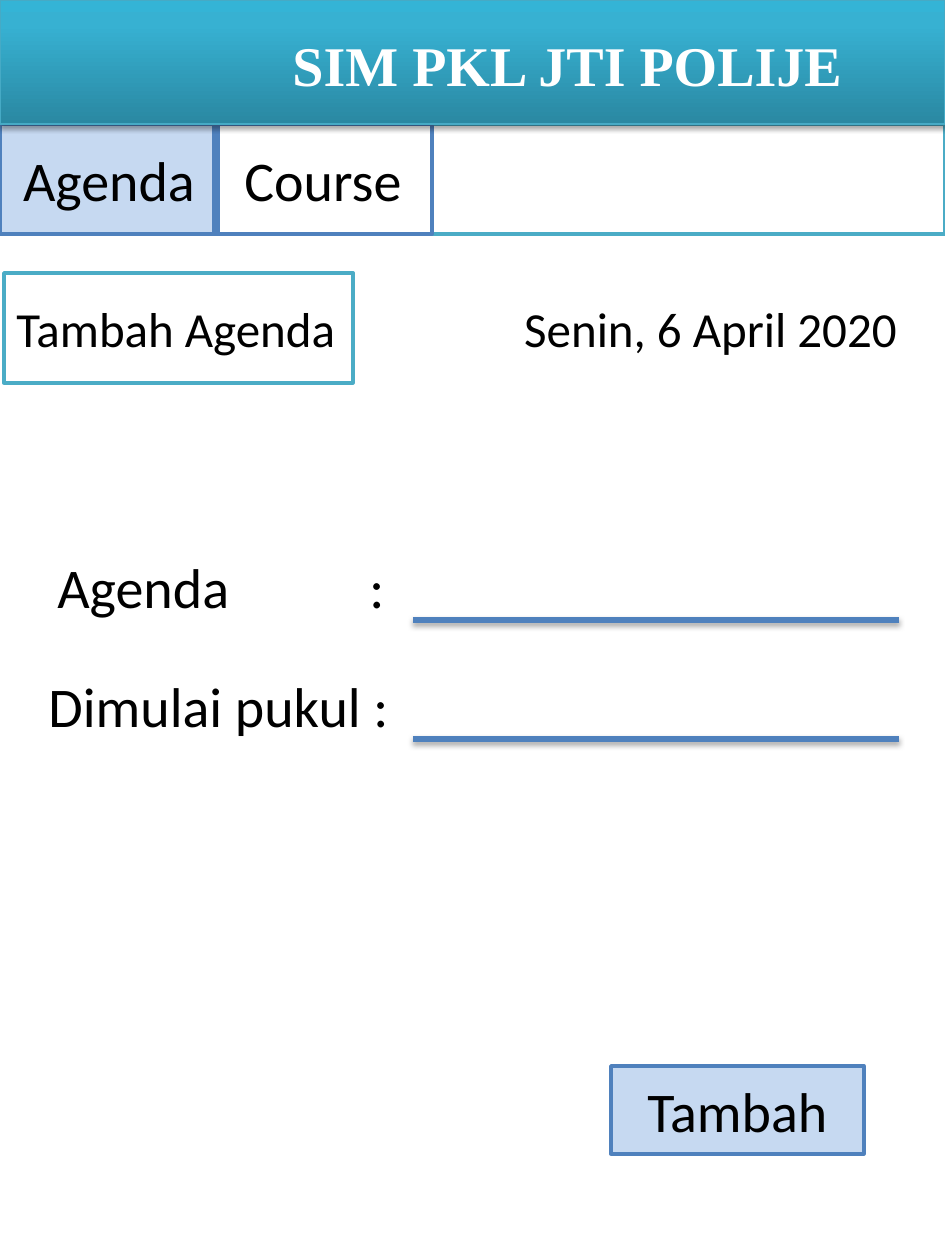
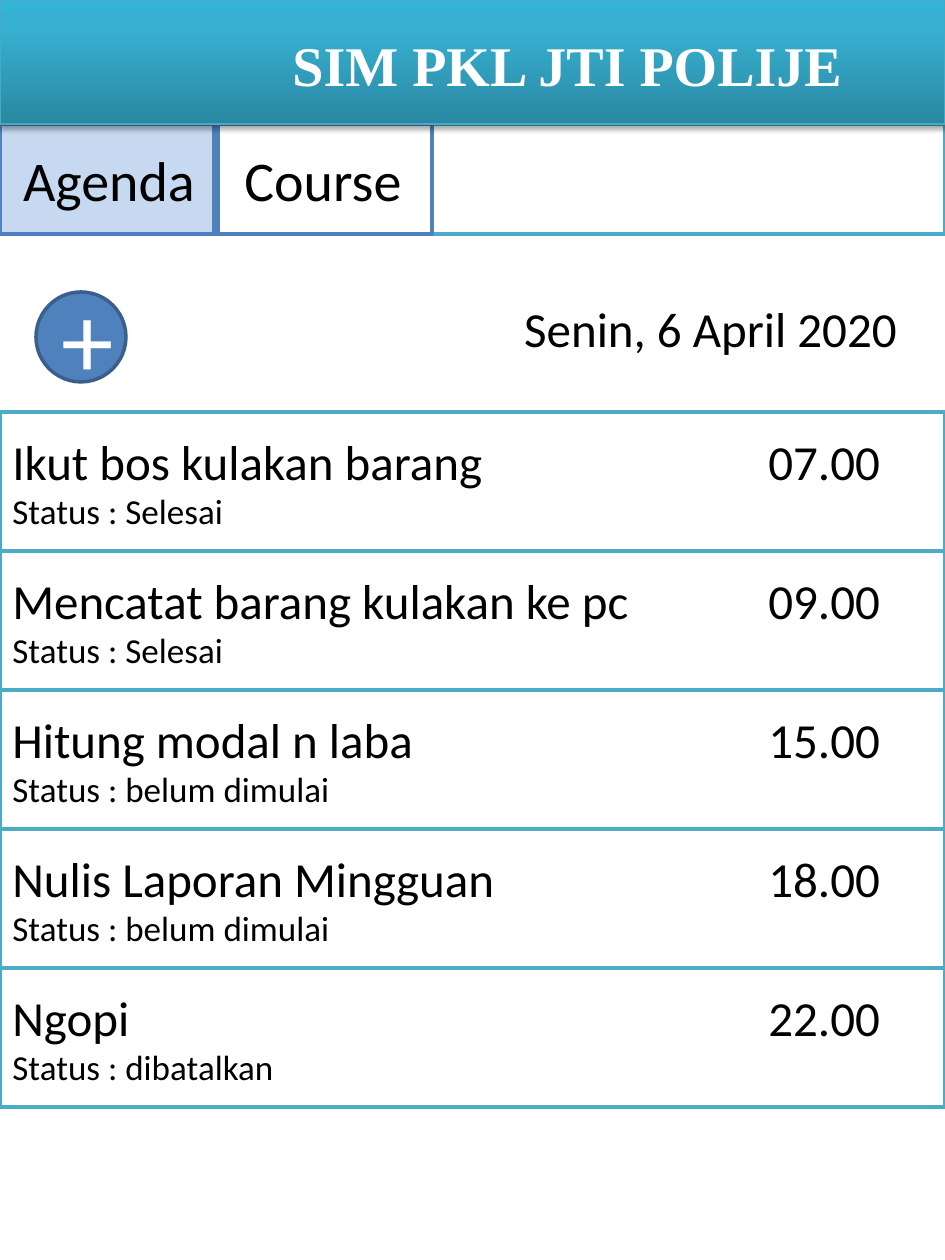
from copy import deepcopy

from lxml import etree
from pptx import Presentation
from pptx.dml.color import RGBColor
from pptx.enum.shapes import MSO_CONNECTOR, MSO_SHAPE
from pptx.enum.text import MSO_ANCHOR, PP_ALIGN
from pptx.oxml.ns import qn
from pptx.util import Emu, Pt

RECTANGLE, OVAL = MSO_SHAPE.RECTANGLE, MSO_SHAPE.OVAL
STRAIGHT = MSO_CONNECTOR.STRAIGHT
LEFT, CENTER, RIGHT = PP_ALIGN.LEFT, PP_ALIGN.CENTER, PP_ALIGN.RIGHT
MIDDLE = MSO_ANCHOR.MIDDLE

# Colours and fonts
BLACK = RGBColor(0x00, 0x00, 0x00)
WHITE = RGBColor(0xFF, 0xFF, 0xFF)
BLUE = RGBColor(0x4F, 0x81, 0xBD)
DARK_BLUE = RGBColor(0x3A, 0x5F, 0x8C)
PALE_BLUE = RGBColor(0xC6, 0xD9, 0xF1)
TEAL = RGBColor(0x4B, 0xAC, 0xC6)
HEADER_LINE = RGBColor(0x46, 0xAA, 0xC5)
HEADER_STOPS = [
    (0, RGBColor(0x2A, 0x88, 0xA2)),
    (0.8, RGBColor(0x37, 0xB1, 0xD2)),
    (1, RGBColor(0x34, 0xB4, 0xD6)),
]
BODY_FONT, TITLE_FONT = "Calibri", "Times New Roman"

# Content
TITLE = "SIM PKL JTI POLIJE"
DATE = "Senin, 6 April 2020"
TABS = [("Agenda", PALE_BLUE), ("Course", None)]
FIELDS = [("Agenda\t:", 45), ("Dimulai pukul :", 36)]  # label, left edge
AGENDA = [
    ("Ikut bos kulakan barang", "07.00", "Selesai"),
    ("Mencatat barang kulakan ke pc", "09.00", "Selesai"),
    ("Hitung modal n laba", "15.00", "belum dimulai"),
    ("Nulis Laporan Mingguan", "18.00", "belum dimulai"),
    ("Ngopi", "22.00", "dibatalkan"),
]

# Layout in pixels
SLIDE_WIDTH, SLIDE_HEIGHT = 945, 1260
HEADER_HEIGHT = 124
TAB_HEIGHT, TAB_WIDTH, TAB_STEP = 110, 218, 214
ACTION_TOP = 273
FIELD_TOP, FIELD_STEP, FIELD_HEIGHT = 542, 119, 88
FIELD_LINE_LEFT, FIELD_LINE_RIGHT, FIELD_LINE_DROP = 413, 899, 78
COLON_STOP = 312
ROW_TOP, ROW_HEIGHT = 412, 139
TIME_STOP = 756


def px(pixels):
    """Turn picture pixels into EMU."""
    return Emu(round(pixels * 914400 / 126))


def write(shape, lines, sizes, align=LEFT, color=BLACK, font=BODY_FONT, bold=False):
    """Put lines of text into a shape, one paragraph each."""
    frame = shape.text_frame
    frame.word_wrap = True
    frame.vertical_anchor = MIDDLE
    frame.text = "\n".join(lines)
    for paragraph, size in zip(frame.paragraphs, sizes):
        paragraph.alignment = align
        for run in paragraph.runs:
            run.font.size = Pt(size)
            run.font.name = font
            run.font.bold = bold
            run.font.color.rgb = color


def add_box(slide, box, fill, line, weight=2, kind=RECTANGLE):
    """Add a flat outlined shape; a fill of None leaves it open."""
    shape = slide.shapes.add_shape(kind, *map(px, box))
    shape.shadow.inherit = False
    if fill is None:
        shape.fill.background()
    else:
        shape.fill.solid()
        shape.fill.fore_color.rgb = fill
    shape.line.color.rgb = line
    shape.line.width = Pt(weight)
    return shape


def add_label(slide, box, text, size, **style):
    """Add a text box with one line of text."""
    label = slide.shapes.add_textbox(*map(px, box))
    write(label, [text], [size], **style)
    return label


def set_tab_stop(paragraph, position):
    """Give a paragraph one left tab stop."""
    stops = etree.SubElement(paragraph._p.get_or_add_pPr(), qn("a:tabLst"))
    etree.SubElement(stops, qn("a:tab"), pos=str(px(position)), algn="l")


def add_shadow(shape):
    """Add a soft shadow below a shape or connector."""
    properties = shape._element.spPr
    effects = properties.find(qn("a:effectLst"))
    if effects is None:
        effects = etree.SubElement(properties, qn("a:effectLst"))
    shadow = etree.SubElement(effects, qn("a:outerShdw"), blurRad="40000",
                              dist="23000", dir="5400000", rotWithShape="0")
    color = etree.SubElement(shadow, qn("a:srgbClr"), val=str(BLACK))
    etree.SubElement(color, qn("a:alpha"), val="35000")


def fill_header(shape):
    """Fill the header band with its three-stop gradient."""
    shape.fill.gradient()
    shape.fill.gradient_angle = 90
    stop_list = shape._element.spPr.find(".//" + qn("a:gsLst"))
    stop_list.append(deepcopy(stop_list[0]))
    for stop, (position, color) in zip(shape.fill.gradient_stops, HEADER_STOPS):
        stop.position = position
        stop.color.rgb = color


def add_page(presentation):
    """Add a slide with the header, the tabs and the date."""
    slide = presentation.slides.add_slide(presentation.slide_layouts[6])
    add_box(slide, (0, HEADER_HEIGHT, SLIDE_WIDTH, TAB_HEIGHT), WHITE, TEAL)
    for index, (name, fill) in enumerate(TABS):
        box = (index * TAB_STEP, HEADER_HEIGHT, TAB_WIDTH, TAB_HEIGHT)
        write(add_box(slide, box, fill, BLUE), [name], [32], CENTER)
    header = add_box(slide, (0, 0, SLIDE_WIDTH, HEADER_HEIGHT), TEAL, HEADER_LINE, 0.75)
    fill_header(header)
    add_shadow(header)
    add_label(slide, (190, 4, 755, 121), TITLE, 32, align=CENTER,
              color=WHITE, font=TITLE_FONT, bold=True)
    add_label(slide, (423, ACTION_TOP, 486, TAB_HEIGHT), DATE, 28, align=RIGHT)
    return slide


def build_form(presentation):
    """Build the form that adds an agenda item."""
    slide = add_page(presentation)
    heading = add_box(slide, (4, ACTION_TOP, 349, TAB_HEIGHT), WHITE, TEAL)
    write(heading, ["Tambah Agenda"], [28])
    for index, (text, left) in enumerate(FIELDS):
        top = FIELD_TOP + index * FIELD_STEP
        label = add_label(slide, (left, top, 392, FIELD_HEIGHT), text, 32)
        if "\t" in text:
            set_tab_stop(label.text_frame.paragraphs[0], COLON_STOP)
        line_y = px(top + FIELD_LINE_DROP)
        line = slide.shapes.add_connector(
            STRAIGHT, px(FIELD_LINE_LEFT), line_y, px(FIELD_LINE_RIGHT), line_y)
        line.line.color.rgb = BLUE
        line.line.width = Pt(3)
        add_shadow(line)
    button = add_box(slide, (611, 1066, 253, 88), PALE_BLUE, BLUE)
    write(button, ["Tambah"], [32], CENTER)


def build_list(presentation):
    """Build the list of the day's agenda items."""
    slide = add_page(presentation)
    button = add_box(slide, (36, 292, 90, 90), BLUE, DARK_BLUE, kind=OVAL)
    write(button, ["+"], [60], CENTER, WHITE)
    for index, (task, time, status) in enumerate(AGENDA):
        box = (0, ROW_TOP + index * ROW_HEIGHT, SLIDE_WIDTH, ROW_HEIGHT)
        row = add_box(slide, box, WHITE, TEAL)
        write(row, [f"{task}\t{time}", f"Status : {status}"], [28, 20])
        set_tab_stop(row.text_frame.paragraphs[0], TIME_STOP)


presentation = Presentation()
presentation.slide_width = px(SLIDE_WIDTH)
presentation.slide_height = px(SLIDE_HEIGHT)
build_form(presentation)
build_list(presentation)
presentation.save("out.pptx")
